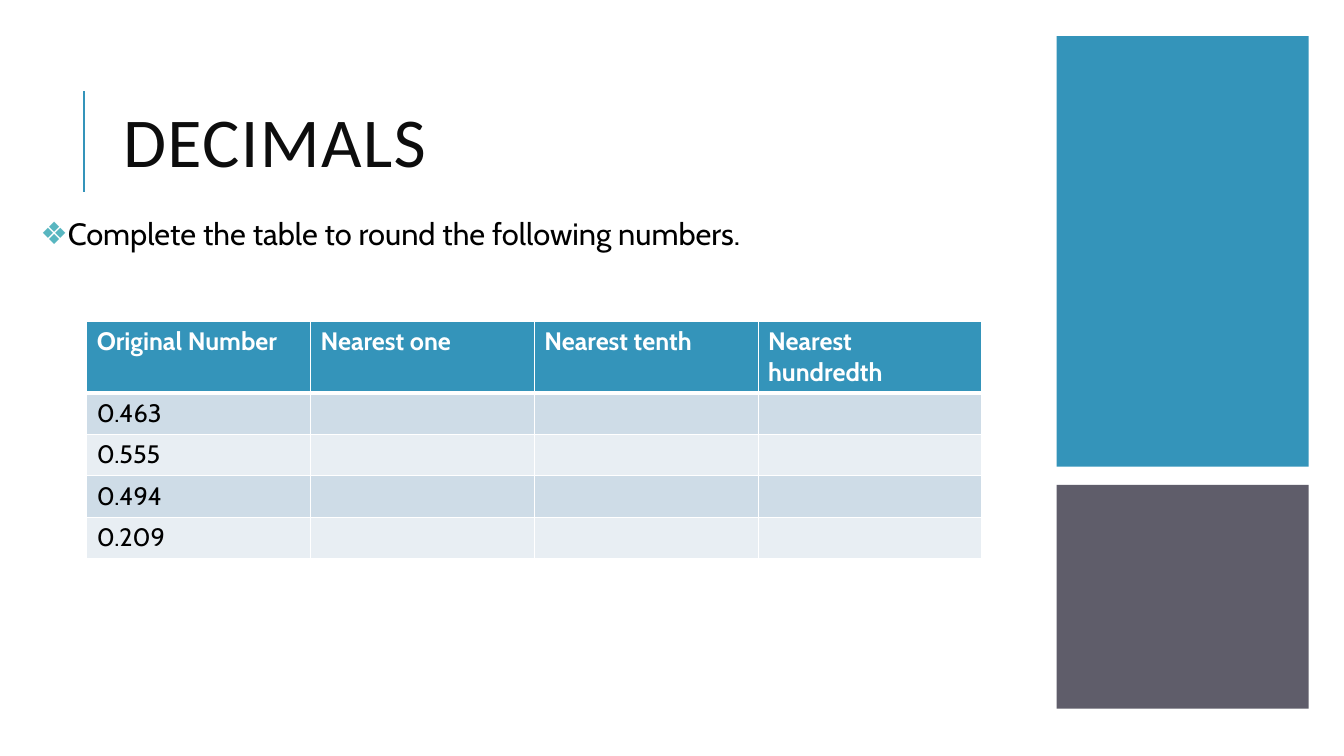
from lxml import etree
from pptx import Presentation
from pptx.dml.color import RGBColor
from pptx.enum import shapes, text
from pptx.oxml import ns
from pptx.util import Inches, Pt

TITLE = "DECIMALS"
INSTRUCTION = "Complete the table to round the following numbers."
TABLE_ROWS = [
    ["Original Number", "Nearest one", "Nearest tenth", "Nearest hundredth"],
    ["0.463", "", "", ""],
    ["0.555", "", "", ""],
    ["0.494", "", "", ""],
    ["0.209", "", "", ""],
]
BLUE, DARK, TEAL, WHITE, BLACK = "3494BA", "373545", "58B6C0", "FFFFFF", "000000"
BANDS = ["CEDCE7", "E8EEF3"]
# top, height, colour, opacity in percent
SIDE_PANELS = [(0.36, 4.27, BLUE, 100), (4.81, 2.22, DARK, 80)]
PANEL_LEFT, PANEL_WIDTH = 10.48, 2.5
TABLE_LEFT, TABLE_TOP, COLUMN_WIDTH, ROW_HEIGHT = 0.86, 3.19, 2.22, 0.41


def color(value):
    return RGBColor.from_string(value)


def add_element(parent, tag, **attributes):
    return etree.SubElement(parent, ns.qn(tag), attributes)


def write(paragraph, content, size, font="Cabin", fill=BLACK, bold=False):
    run = paragraph.add_run()
    run.text = content
    run.font.size, run.font.name, run.font.bold = Pt(size), font, bold
    run.font.color.rgb = color(fill)
    return run


def place(shape, left, top, width, height):
    shape.left, shape.top = Inches(left), Inches(top)
    shape.width, shape.height = Inches(width), Inches(height)


def add_title(slide):
    title = slide.shapes.title
    place(title, 1.12, 0.64, 8.77, 1.64)
    frame = title.text_frame
    frame.auto_size = text.MSO_AUTO_SIZE.NONE
    frame.vertical_anchor = text.MSO_ANCHOR.MIDDLE
    paragraph = frame.paragraphs[0]
    paragraph.alignment = text.PP_ALIGN.LEFT
    paragraph.line_spacing = 0.8
    run = write(paragraph, TITLE, 50, font="Calibri", fill="0D0D0D")
    run.font._element.set("spc", "100")

    rule = slide.shapes.add_connector(
        shapes.MSO_CONNECTOR.STRAIGHT, Inches(0.83), Inches(1.9), Inches(0.83), Inches(0.9))
    rule.line.color.rgb = color(BLUE)
    rule.line.width = Pt(1.5)
    add_element(rule._element.spPr, "a:effectLst")


def add_instruction(slide):
    body = slide.placeholders[1]
    place(body, 0.35, 2.12, 9.91, 4.03)
    frame = body.text_frame
    frame.auto_size = text.MSO_AUTO_SIZE.NONE
    frame.margin_left = frame.margin_right = Inches(0.05)
    frame.margin_top = frame.margin_bottom = Inches(0.05)
    paragraph = frame.paragraphs[0]
    paragraph.line_spacing = 0.9
    paragraph.space_before = Pt(0)
    paragraph.space_after = Pt(2)
    properties = paragraph._p.get_or_add_pPr()
    properties.set("marL", str(Inches(0.1)))
    properties.set("indent", str(-Inches(0.1)))
    add_element(add_element(properties, "a:buClr"), "a:srgbClr", val=TEAL)
    add_element(properties, "a:buChar", char="❖")
    write(paragraph, INSTRUCTION, 22)


def add_side_panels(slide):
    for top, height, fill, opacity in SIDE_PANELS:
        panel = slide.shapes.add_shape(
            shapes.MSO_SHAPE.RECTANGLE, Inches(PANEL_LEFT), Inches(top),
            Inches(PANEL_WIDTH), Inches(height))
        panel.shadow.inherit = False
        panel.fill.solid()
        panel.fill.fore_color.rgb = color(fill)
        panel.line.fill.background()
        if opacity < 100:
            rgb = panel._element.spPr.find(".//" + ns.qn("a:srgbClr"))
            add_element(rgb, "a:alpha", val=str(opacity * 1000))


def add_borders(cell, **widths):
    """Draw white borders; widths maps the sides L, R, T, B to points."""
    properties = cell._tc.get_or_add_tcPr()
    for side, width in widths.items():
        line = add_element(properties, "a:ln" + side, w=str(Pt(width)))
        add_element(add_element(line, "a:solidFill"), "a:srgbClr", val=WHITE)


def add_rounding_table(slide):
    row_count, column_count = len(TABLE_ROWS), len(TABLE_ROWS[0])
    table = slide.shapes.add_table(
        row_count, column_count, Inches(TABLE_LEFT), Inches(TABLE_TOP),
        Inches(COLUMN_WIDTH * column_count), Inches(ROW_HEIGHT * row_count)).table
    for row_index, row in enumerate(TABLE_ROWS):
        header = row_index == 0
        for column_index, content in enumerate(row):
            cell = table.cell(row_index, column_index)
            add_borders(cell, L=1, R=1, T=3 if row_index == 1 else 1, B=3 if header else 1)
            cell.fill.solid()
            cell.fill.fore_color.rgb = color(BLUE if header else BANDS[(row_index - 1) % 2])
            if content:
                write(cell.text_frame.paragraphs[0], content, 18,
                      fill=WHITE if header else BLACK, bold=header)


def main():
    presentation = Presentation()
    presentation.slide_width, presentation.slide_height = Inches(13.33), Inches(7.5)
    slide = presentation.slides.add_slide(presentation.slide_layouts[1])
    add_title(slide)
    add_instruction(slide)
    add_side_panels(slide)
    add_rounding_table(slide)
    presentation.save("out.pptx")


if __name__ == "__main__":
    main()
